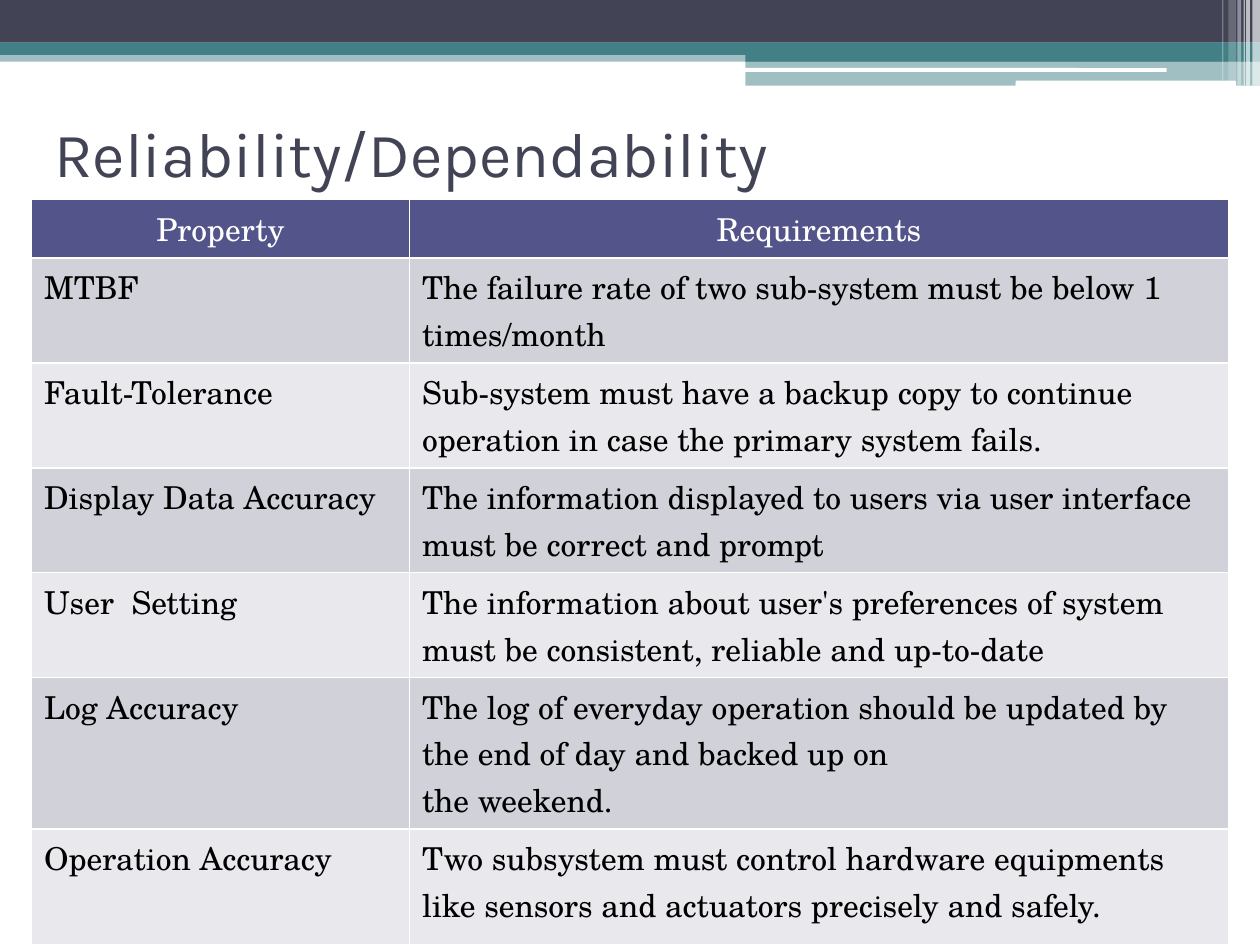
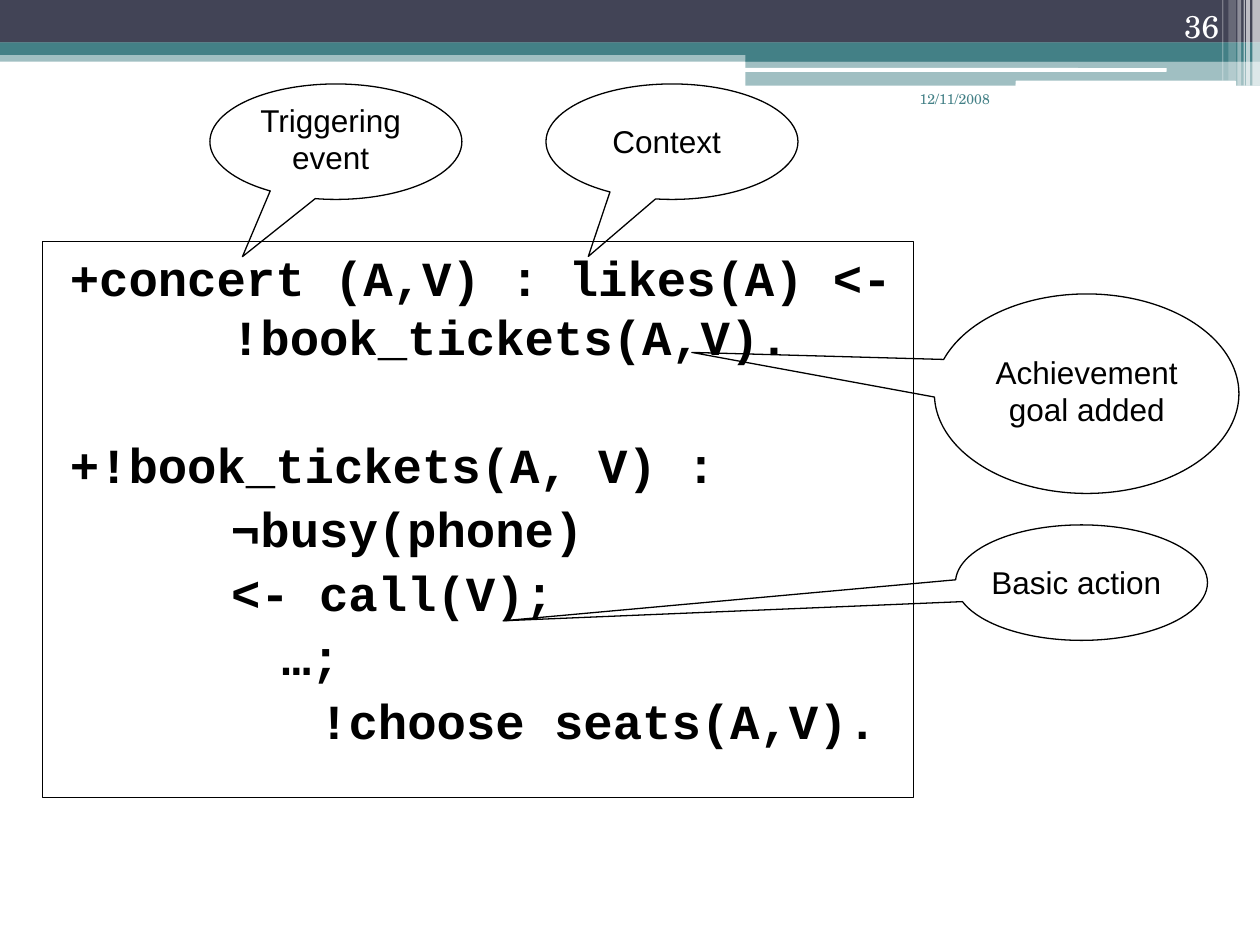
"""Build two slides: a reliability requirements table and an annotated agent plan."""
import pptx
import pptx.dml.color
import pptx.enum.shapes
import pptx.enum.text
import pptx.oxml
import pptx.oxml.ns
import pptx.util

Pt = pptx.util.Pt
RGB = pptx.dml.color.RGBColor
SHAPE = pptx.enum.shapes.MSO_SHAPE
ALIGN = pptx.enum.text.PP_ALIGN
ANCHOR = pptx.enum.text.MSO_ANCHOR

SLATE = RGB(0x42, 0x44, 0x56)
TEAL = RGB(0x43, 0x80, 0x86)
INDIGO = RGB(0x53, 0x54, 0x8A)
ROW_DARK = RGB(0xD1, 0xD1, 0xDA)
ROW_LIGHT = RGB(0xE9, 0xE9, 0xED)
WHITE = RGB(0xFF, 0xFF, 0xFF)
BLACK = RGB(0, 0, 0)

SERIF = "TeX Gyre Schola"
TITLE_FONT = "Karla"
CODE_FONT = "Courier New"
CALLOUT_FONT = "Arial"

SLIDE_WIDTH, SLIDE_HEIGHT = 720, 540
RIGHT_BAND = 426

BANDS = [
    (SHAPE.RECTANGLE, (0, 28.8, SLIDE_WIDTH, 6.48), TEAL, 50),
    (SHAPE.RECTANGLE, (0, 0, SLIDE_WIDTH, 24.4), SLATE, 100),
    (SHAPE.RECTANGLE, (0, 24.2, SLIDE_WIDTH, 7.2), TEAL, 100),
    (SHAPE.RECTANGLE, (RIGHT_BAND, 28.08, SLIDE_WIDTH - RIGHT_BAND, 7.2), TEAL, 100),
    (SHAPE.RECTANGLE, (RIGHT_BAND, 34.56, SLIDE_WIDTH - RIGHT_BAND, 14.4), TEAL, 50),
    (SHAPE.ROUNDED_RECTANGLE, (425.52, 38.88, 241.2, 2.16), WHITE, 100),
    (SHAPE.ROUNDED_RECTANGLE, (580.32, 46.08, 126, 3.2), WHITE, 100),
]
STRIPES = [
    (715.68, 4.32, 48.96, 65),
    (712.08, 2.16, 48.96, 65),
    (710.64, 0.72, 48.96, 60),
    (707.04, 2.16, 48.96, 40),
    (702, 4.32, 46.08, 20),
    (698.4, 0.72, 46.08, 30),
]

TITLE = "Reliability/Dependability"
COLUMN_WIDTHS = [216, 468]
TABLE_LINE, CELL_PADDING, LAST_ROW = 26.4, 7.2, 66
REQUIREMENTS = [
    ("Property", 1, ["Requirements"]),
    ("MTBF", 2, ["The failure rate of two sub-system must be below 1 times/month"]),
    ("Fault-Tolerance", 2, ["Sub-system must have a backup copy to continue operation "
                            "in case the primary system fails."]),
    ("Display Data Accuracy", 2, ["The information displayed to users via user interface "
                                  "must be correct and prompt"]),
    ("User  Setting", 2, ["The information about user's preferences of system "
                          "must be consistent, reliable and up-to-date"]),
    ("Log Accuracy", 3, ["The log of everyday operation should be updated by "
                         "the end of day and backed up on", "the weekend."]),
    ("Operation Accuracy", 2, ["Two subsystem must control hardware equipments "
                               "like sensors and actuators precisely and safely."]),
]

DATE, PAGE = "12/11/2008", "36"
CODE_LINE = 33.6
CODE_GAP = 3
FIRST, STEP, ELLIPSIS, CHOICE = 8.64, 100.8, 129.6, 151.2
PLANS = [
    (FIRST, STEP, CODE_GAP, ["+concert (A,V) : likes(A) <-", "!book_tickets(A,V)."]),
    (FIRST, FIRST, CODE_LINE + 2 * CODE_GAP, ["+!book_tickets(A, V) :"]),
    (STEP, STEP, CODE_GAP, ["¬busy(phone)"]),
    (STEP, STEP, CODE_GAP, ["<- call(V);"]),
    (ELLIPSIS, ELLIPSIS, CODE_GAP, ["…;"]),
    (CHOICE, CHOICE, CODE_GAP, ["!choose seats(A,V)."]),
]
CALLOUTS = [
    ("Triggering event", (120, 48, 144, 66), (126, 54, 126, 50), (-0.371, 0.996)),
    ("Context", (312, 48, 144, 66), (318, 66, 126, 29), (-0.332, 0.994)),
    ("Achievement goal added", (534, 168, 174, 114), (558, 198, 126, 50), (-1.297, -0.207)),
    ("Basic action", (546, 300, 144, 66), (552, 318, 126, 29), (-2.295, 0.33)),
]


def write(paragraph, text, font, size, color, bold=False, italic=False):
    run = paragraph.add_run()
    run.text = text
    run.font.name = font
    run.font.size = Pt(size)
    run.font.color.rgb = color
    run.font.bold = bold
    run.font.italic = italic


def add_label(shapes, box, text, font, size, color, align=ALIGN.LEFT, anchor=ANCHOR.TOP):
    frame = shapes.add_textbox(*map(Pt, box)).text_frame
    frame.word_wrap = True
    frame.vertical_anchor = anchor
    frame.paragraphs[0].alignment = align
    write(frame.paragraphs[0], text, font, size, color)


def add_band(slide, kind, box, color, opacity):
    band = slide.shapes.add_shape(kind, *map(Pt, box))
    band.shadow.inherit = False
    band.line.fill.background()
    band.fill.solid()
    band.fill.fore_color.rgb = color
    if opacity < 100:
        tint = band.fill._xPr.find(".//" + pptx.oxml.ns.qn("a:srgbClr"))
        alpha = pptx.oxml.parse_xml(
            f'<a:alpha {pptx.oxml.ns.nsdecls("a")} val="{opacity * 1000}"/>')
        tint.append(alpha)


def add_outline(shapes, kind, box):
    outline = shapes.add_shape(kind, *map(Pt, box))
    outline.shadow.inherit = False
    outline.fill.background()
    outline.line.color.rgb = BLACK
    outline.line.width = Pt(0.75)
    return outline


def add_banded_slide(deck):
    slide = deck.slides.add_slide(deck.slide_layouts[6])
    for band in BANDS:
        add_band(slide, *band)
    for left, width, height, opacity in STRIPES:
        add_band(slide, SHAPE.RECTANGLE, (left, 0, width, height), WHITE, opacity)
    return slide


def style_cell(cell, color):
    properties = cell._tc.get_or_add_tcPr()
    for side in "LRTB":
        properties.append(pptx.oxml.parse_xml(
            f'<a:ln{side} {pptx.oxml.ns.nsdecls("a")} w="{Pt(1)}">'
            f'<a:solidFill><a:srgbClr val="{WHITE}"/></a:solidFill></a:ln{side}>'))
    cell.fill.solid()
    cell.fill.fore_color.rgb = color


def add_requirements(slide):
    heights = [count * TABLE_LINE + CELL_PADDING for _, count, _ in REQUIREMENTS]
    heights[-1] = LAST_ROW
    table = slide.shapes.add_table(
        len(REQUIREMENTS), len(COLUMN_WIDTHS), Pt(18), Pt(113.76),
        Pt(sum(COLUMN_WIDTHS)), Pt(sum(heights))).table
    table.first_row = table.horz_banding = False
    for column, width in zip(table.columns, COLUMN_WIDTHS):
        column.width = Pt(width)
    for index, (name, _, requirement) in enumerate(REQUIREMENTS):
        table.rows[index].height = Pt(heights[index])
        header = index == 0
        fill = INDIGO if header else (ROW_LIGHT, ROW_DARK)[index % 2]
        for cell, lines in zip(table.rows[index].cells, ([name], requirement)):
            style_cell(cell, fill)
            for number, line in enumerate(lines):
                frame = cell.text_frame
                paragraph = frame.add_paragraph() if number else frame.paragraphs[0]
                paragraph.alignment = ALIGN.CENTER if header else ALIGN.LEFT
                write(paragraph, line, SERIF, 18, WHITE if header else BLACK)


def add_plans(slide):
    frame = add_outline(slide.shapes, SHAPE.RECTANGLE, (24.2, 138, 498, 317.8)).text_frame
    frame.word_wrap = True
    frame.vertical_anchor = ANCHOR.TOP
    for index, (start, margin, gap, lines) in enumerate(PLANS):
        paragraph = frame.add_paragraph() if index else frame.paragraphs[0]
        paragraph.alignment = ALIGN.LEFT
        paragraph.space_before = Pt(gap)
        paragraph.line_spacing = Pt(CODE_LINE)
        properties = paragraph._p.get_or_add_pPr()
        properties.set("marL", str(Pt(margin)))
        properties.set("indent", str(Pt(start) - Pt(margin)))
        for number, line in enumerate(lines):
            if number:
                paragraph.add_line_break()
            if line.startswith("¬"):
                write(paragraph, "¬", CODE_FONT, 28, BLACK, bold=True, italic=True)
                line = line[1:]
            write(paragraph, line, CODE_FONT, 28, BLACK, bold=True)


def add_callout(slide, text, bubble_box, text_box, tip):
    group = slide.shapes.add_group_shape()
    bubble = add_outline(group.shapes, SHAPE.OVAL_CALLOUT, bubble_box)
    bubble.adjustments[0], bubble.adjustments[1] = tip
    add_label(group.shapes, text_box, text, CALLOUT_FONT, 18, BLACK, ALIGN.CENTER)


def main():
    deck = pptx.Presentation()
    deck.slide_width, deck.slide_height = Pt(SLIDE_WIDTH), Pt(SLIDE_HEIGHT)

    reliability = add_banded_slide(deck)
    add_label(reliability.shapes, (24, 63.4, 648, 47), TITLE, TITLE_FONT, 36, SLATE,
              anchor=ANCHOR.MIDDLE)
    add_requirements(reliability)

    agent = add_banded_slide(deck)
    add_plans(agent)
    add_label(agent.shapes, (518.4, 48, 75.6, 36), DATE, SERIF, 8, TEAL)
    add_label(agent.shapes, (643.68, 0, 60, 29.2), PAGE, SERIF, 18, WHITE,
              ALIGN.RIGHT, ANCHOR.BOTTOM)
    for callout in CALLOUTS:
        add_callout(agent, *callout)

    deck.save("out.pptx")


if __name__ == "__main__":
    main()
